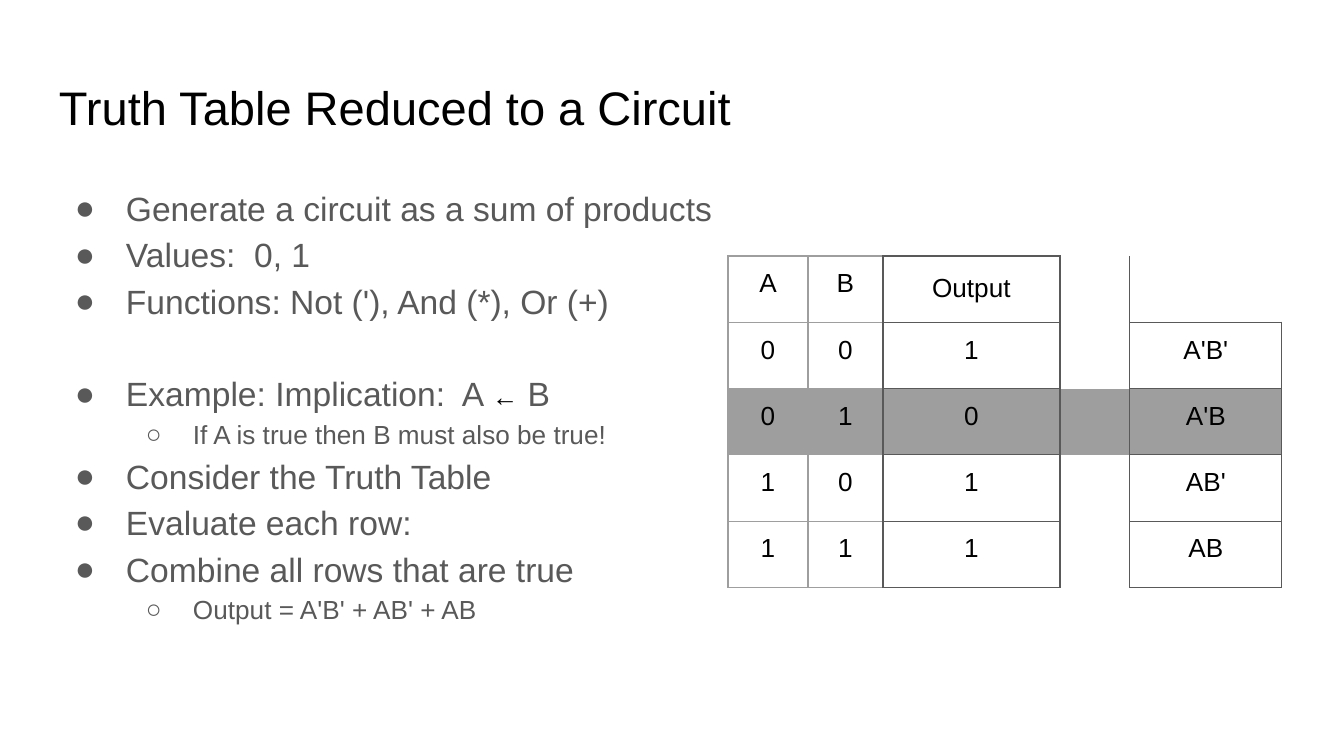
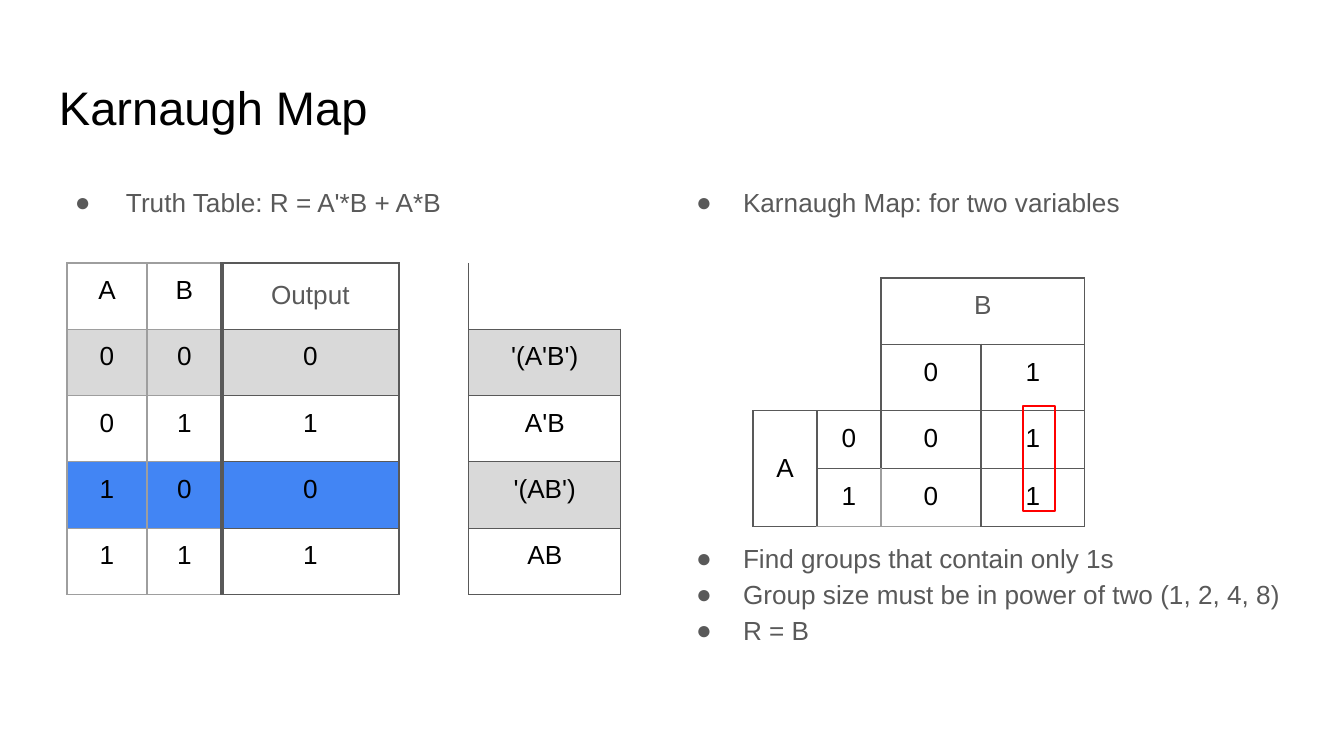
from dataclasses import dataclass

from lxml import etree
from pptx import Presentation
from pptx.dml.color import RGBColor
from pptx.enum.shapes import MSO_SHAPE
from pptx.enum.text import MSO_ANCHOR, PP_ALIGN
from pptx.oxml.ns import qn
from pptx.util import Pt

EMU_PER_PX = 914400 / 134.4
RECTANGLE = MSO_SHAPE.RECTANGLE
TOP, MIDDLE = MSO_ANCHOR.TOP, MSO_ANCHOR.MIDDLE
LEFT, CENTER = PP_ALIGN.LEFT, PP_ALIGN.CENTER
NO_STYLE = "{2D5ABB26-0587-4C30-8999-92F81FD0307C}"
SIDES = "LRTB"


@dataclass(frozen=True)
class Theme:
    font: str = "Arial"
    black: str = "000000"
    gray: str = "595959"
    grid: str = "9E9E9E"
    shade: str = "D9D9D9"
    blue: str = "4285F4"
    red: str = "FF0000"
    white: str = "FFFFFF"
    title: float = 25.2
    body: int = 18
    small: int = 14
    line: float = 0.75
    thick: float = 2.25
    spacing: float = 1.15
    inset: int = 13


THEME = Theme()
TITLE_BOX = (46, 66, 1252, 85)
BODY_TOP, BODY_HEIGHT = 169, 503
ROW_HEIGHT = 58
TRUTH_COLUMNS = (80, 75, 177, 70, 152)
MAP_COLUMNS = (64, 64, 100, 104)


def px(value):
    return round(value * EMU_PER_PX)


def rgb(value):
    return RGBColor.from_string(value)


# Text
def write(paragraph, text, size=THEME.small, colour=THEME.black, align=LEFT,
          spacing=None, after=None):
    run = paragraph.add_run()
    run.text = text
    run.font.name = THEME.font
    run.font.size = Pt(size)
    run.font.color.rgb = rgb(colour)
    paragraph.alignment = align
    if spacing:
        paragraph.line_spacing = spacing
    if after is not None:
        paragraph.space_after = Pt(after)


def add_bullet(paragraph, level, hanging):
    properties = paragraph._p.get_or_add_pPr()
    properties.set("marL", str(px(67 * (level + 1))))
    properties.set("indent", str(-px(hanging)))
    if level:
        properties.set("lvl", str(level))
    colour = etree.SubElement(properties, qn("a:buClr"))
    etree.SubElement(colour, qn("a:srgbClr"), val=THEME.gray)
    etree.SubElement(properties, qn("a:buFont"), typeface=THEME.font)
    etree.SubElement(properties, qn("a:buChar"), char="●○"[level])


def add_text_box(slide, box):
    frame = slide.shapes.add_textbox(*map(px, box)).text_frame
    frame.word_wrap = True
    frame.vertical_anchor = TOP
    frame.margin_left = frame.margin_right = px(THEME.inset)
    frame.margin_top = frame.margin_bottom = px(THEME.inset)
    return frame


def add_title(slide, text):
    write(add_text_box(slide, TITLE_BOX).paragraphs[0], text, size=THEME.title)


def add_bullets(slide, box, items, size=THEME.body, hanging=51):
    """Each item is (level, text or list of (text, format), space after)."""
    frame = add_text_box(slide, box)
    for index, (level, text, after) in enumerate(items):
        paragraph = frame.add_paragraph() if index else frame.paragraphs[0]
        runs = [(text, {})] if isinstance(text, str) else text
        for content, changes in runs:
            style = {"size": THEME.small if level else size, "colour": THEME.gray}
            write(paragraph, content, spacing=THEME.spacing, after=after,
                  **(style | changes))
        add_bullet(paragraph, level, 47 if level else hanging)


# Tables
def set_borders(cell, borders):
    """Borders map a side (L, R, T, B) to (colour, width)."""
    properties = cell._tc.get_or_add_tcPr()
    sides = [side for side in SIDES if side in borders]
    for position, side in enumerate(sides):
        colour, width = borders[side]
        line = etree.Element(qn(f"a:ln{side}"), w=str(Pt(width)))
        fill = etree.SubElement(line, qn("a:solidFill"))
        etree.SubElement(fill, qn("a:srgbClr"), val=colour)
        properties.insert(position, line)


def frame_sides(colour, sides=SIDES, width=THEME.line):
    return {side: (colour, width) for side in sides}


def add_grid(slide, left, top, columns, row_count):
    size = (sum(columns), ROW_HEIGHT * row_count)
    frame = slide.shapes.add_table(row_count, len(columns),
                                   *map(px, (left, top, *size)))
    table = frame.table
    table.first_row = table.horz_banding = False
    table._tbl.tblPr.find(qn("a:tableStyleId")).text = NO_STYLE
    for column, width in zip(table.columns, columns):
        column.width = px(width)
    for row in table.rows:
        row.height = px(ROW_HEIGHT)
    return table


def fill_cell(cell, text, borders, fill=None, **style):
    cell.margin_left = cell.margin_right = px(THEME.inset)
    cell.margin_top = cell.margin_bottom = px(THEME.inset)
    if text:
        write(cell.text_frame.paragraphs[0], text, align=CENTER, **style)
    if fill:
        cell.fill.solid()
        cell.fill.fore_color.rgb = rgb(fill)
    else:
        cell.fill.background()
    set_borders(cell, borders)


def truth_borders(row, column, divider):
    dark = (THEME.gray, divider)
    if column == 0:
        return frame_sides(THEME.grid)
    if column == 1:
        return frame_sides(THEME.grid) | {"R": dark}
    if column == 2:
        return frame_sides(THEME.gray) | {"L": dark}
    if column == 3:
        return frame_sides(THEME.gray, "LR" if row else "L")
    return frame_sides(THEME.gray, SIDES if row else "B")


def add_truth_table(slide, left, top, outputs, terms, fills,
                    divider=THEME.line, output_colour=THEME.black):
    """Fills map a row to the fills of its values, its gap and its term."""
    rows = [("A", "B", "Output", "", "")]
    for number, (output, term) in enumerate(zip(outputs, terms)):
        rows.append((str(number // 2), str(number % 2), output, "", term))
    table = add_grid(slide, left, top, TRUTH_COLUMNS, len(rows))
    for r, row in enumerate(rows):
        values, gap, term = fills.get(r, (None, None, None))
        row_fills = (values, values, values, gap, term)
        for c, text in enumerate(row):
            style = {}
            if text == "Output":
                style = {"colour": output_colour, "spacing": THEME.spacing,
                         "after": 12}
            fill_cell(table.cell(r, c), text, truth_borders(r, c, divider),
                      row_fills[c], **style)


def add_karnaugh_map(slide, left, top):
    rows = [("", "", "B", ""), ("", "", "0", "1"),
            ("A", "0", "0", "1"), ("", "1", "0", "1")]
    # Sides drawn in the corner cells, and sides drawn lighter inside
    corner = {(0, 0): "", (0, 1): "R", (1, 0): "B", (1, 1): "RB"}
    lighter = {(2, 2): "B", (3, 1): "RB", (3, 2): "LB"}
    table = add_grid(slide, left, top, MAP_COLUMNS, len(rows))
    table.cell(0, 2).merge(table.cell(0, 3))
    table.cell(2, 0).merge(table.cell(3, 0))
    table.cell(2, 0).vertical_anchor = MIDDLE
    for r, row in enumerate(rows):
        for c, text in enumerate(row):
            borders = frame_sides(THEME.gray, corner.get((r, c), SIDES))
            borders |= frame_sides(THEME.grid, lighter.get((r, c), ""))
            colour = THEME.gray if text == "B" else THEME.black
            fill_cell(table.cell(r, c), text, borders, colour=colour)
    # Outline around the group of 1s
    group = slide.shapes.add_shape(
        RECTANGLE, *map(px, (left + 270, top + 128, 32, 105)))
    group.shadow.inherit = False
    group.fill.background()
    group.line.color.rgb = rgb(THEME.red)
    group.line.width = Pt(THEME.line)


# Slides
def build_circuit_slide(slide):
    add_title(slide, "Truth Table Reduced to a Circuit")
    arrow = {"size": THEME.small, "colour": THEME.black}
    add_bullets(slide, (46, BODY_TOP, 1252, BODY_HEIGHT), [
        (0, "Generate a circuit as a sum of products", 0),
        (0, "Values:  0, 1", 0),
        (0, "Functions: Not ('), And (*), Or (+)", 24.8),
        (0, [("Example: Implication:  A ", {}), ("←", arrow), (" B", {})], 0),
        (1, "If A is true then B must also be true!", 0),
        (0, "Consider the Truth Table", 0),
        (0, "Evaluate each row:", 0),
        (0, "Combine all rows that are true", 0),
        (1, "Output = A'B' + AB' + AB", 0),
    ])
    add_truth_table(slide, 728, 256, "1011", ("A'B'", "A'B", "AB'", "AB"), {
        2: (THEME.grid, THEME.grid, THEME.grid),
        3: (THEME.white, None, THEME.white),
    })


def build_karnaugh_slide(slide):
    add_bullets(slide, (663, BODY_TOP, 649, BODY_HEIGHT), [
        (0, "Karnaugh Map: for two variables", 171.5),
        (0, "Find groups that contain only 1s", 0),
        (0, "Group size must be in power of two (1, 2, 4, 8)", 0),
        (0, "R = B", 0),
    ], size=THEME.small, hanging=47)
    add_title(slide, "Karnaugh Map")
    add_bullets(slide, (46, BODY_TOP, 595, BODY_HEIGHT),
                [(0, "Truth Table: R = A'*B + A*B", 0)], size=THEME.small)
    add_truth_table(slide, 67, 263, "0101",
                    ("'(A'B')", "A'B", "'(AB')", "AB"), {
                        1: (THEME.shade, None, THEME.shade),
                        3: (THEME.blue, None, THEME.shade),
                    }, divider=THEME.thick, output_colour=THEME.gray)
    add_karnaugh_map(slide, 753, 278)


def main():
    presentation = Presentation()
    presentation.slide_width, presentation.slide_height = px(1344), px(756)
    blank = presentation.slide_layouts[6]
    for build in (build_circuit_slide, build_karnaugh_slide):
        build(presentation.slides.add_slide(blank))
    presentation.save("out.pptx")


if __name__ == "__main__":
    main()
